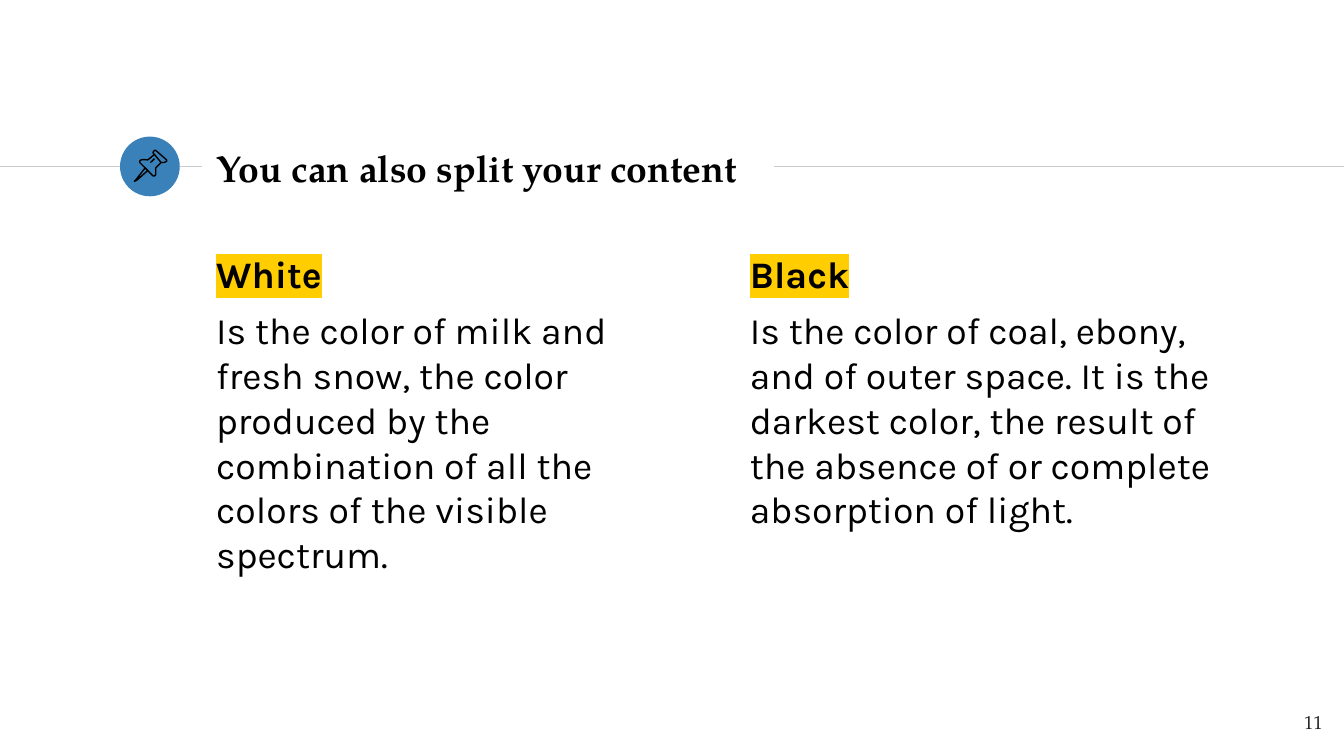
from lxml.etree import SubElement
from pptx import Presentation
from pptx.dml.color import RGBColor
from pptx.enum.shapes import MSO_CONNECTOR, MSO_SHAPE
from pptx.enum.text import MSO_ANCHOR, MSO_AUTO_SIZE, PP_ALIGN
from pptx.oxml import parse_xml
from pptx.oxml.ns import nsdecls, qn
from pptx.util import Pt

SERIF = "TeX Gyre Pagella"
SANS = "Karla"
BLACK = "000000"
RULE_Y = 89.3

COLUMNS = [
    (108.7, "White", "Is the color of milk and fresh snow, the color produced by the "
                     "combination of all the colors of the visible spectrum."),
    (394.6, "Black", "Is the color of coal, ebony, and of outer space. It is the darkest "
                     "color, the result of the absence of or complete absorption of light."),
]

PIN_NEEDLE = [(77.8, 90), (72.7, 96.5), (72, 97.2), (73.4, 96.5), (79.2, 91.4)]
PIN_HEAD = [(82.8, 82.8), (86.4, 87.1), (87.8, 87.1), (88.6, 86.8), (89.3, 86.4),
            (89.3, 85.7), (83.5, 80.6), (82.8, 80.6), (82.1, 81.4), (82.1, 82.1)]
PIN_BODY = [(82.8, 82.8), (79.2, 85.7), (77, 85.5), (75.6, 85.7), (74.9, 86.4),
            (74.9, 87.1), (82.1, 94.3), (82.8, 94.3), (83.5, 93.6), (83.5, 90),
            (86.4, 87.1)]


def color(hex_string):
    return RGBColor.from_string(hex_string)


def write_text(paragraph, text, font=SANS, size=20, fill=BLACK, bold=False,
               highlight=None, align=PP_ALIGN.LEFT, space_before=0):
    paragraph.alignment = align
    paragraph.space_before = Pt(space_before)
    run = paragraph.add_run()
    run.text = text
    run.font.size = Pt(size)
    run.font.bold = bold
    run.font.color.rgb = color(fill)
    if highlight:
        solid_fill = run.font.fill._xPr.find(qn("a:solidFill"))
        solid_fill.addnext(parse_xml(
            f'<a:highlight {nsdecls("a")}><a:srgbClr val="{highlight}"/></a:highlight>'))
    run.font.name = font


def set_frame(shape, anchor=MSO_ANCHOR.TOP):
    frame = shape.text_frame
    frame.word_wrap = True
    frame.auto_size = MSO_AUTO_SIZE.NONE
    frame.vertical_anchor = anchor
    frame.margin_left = frame.margin_right = Pt(7.2)
    frame.margin_top = frame.margin_bottom = Pt(7.2)
    return frame


def add_text_box(slide, left, top, width, height):
    return set_frame(slide.shapes.add_textbox(Pt(left), Pt(top), Pt(width), Pt(height)))


def add_line(slide, start, end, stroke):
    line = slide.shapes.add_connector(
        MSO_CONNECTOR.STRAIGHT, *(Pt(value) for value in (*start, *end)))
    line.line.color.rgb = color(stroke)
    line.line.width = Pt(0.75)
    SubElement(line._element.spPr, qn("a:effectLst"))


def add_outline(slide, points, close):
    start, *rest = [(Pt(x), Pt(y)) for x, y in points]
    builder = slide.shapes.build_freeform(*start)
    builder.add_line_segments(rest, close=close)
    shape = builder.convert_to_shape()
    shape.shadow.inherit = False
    shape.fill.background()
    shape.line.color.rgb = color(BLACK)
    shape.line.width = Pt(0.75)


def add_title(slide, text):
    title = slide.shapes.title
    title.left, title.top, title.width, title.height = Pt(108.7), Pt(72.7), Pt(305.3), Pt(34.6)
    frame = set_frame(title, MSO_ANCHOR.MIDDLE)
    write_text(frame.paragraphs[0], text, font=SERIF, bold=True)


def add_pin_badge(slide):
    circle = slide.shapes.add_shape(MSO_SHAPE.OVAL, Pt(64.3), Pt(73.2), Pt(32), Pt(32))
    circle.shadow.inherit = False
    circle.fill.solid()
    circle.fill.fore_color.rgb = color("3A81BA")
    circle.line.fill.background()
    add_outline(slide, PIN_NEEDLE, close=True)
    add_outline(slide, PIN_HEAD, close=True)
    add_outline(slide, PIN_BODY, close=False)
    add_line(slide, (80.6, 87.1), (82.8, 85), BLACK)


def add_column(slide, left, heading, body):
    frame = add_text_box(slide, left, 127.4, 270, 254.2)
    write_text(frame.paragraphs[0], heading, bold=True, highlight="FFCD00")
    write_text(frame.add_paragraph(), body, space_before=6)


def main():
    presentation = Presentation()
    presentation.slide_width, presentation.slide_height = Pt(720), Pt(405)
    slide = presentation.slides.add_slide(presentation.slide_layouts[5])

    for start_x, end_x in [(0, 108), (414.7, 720)]:
        add_line(slide, (start_x, RULE_Y), (end_x, RULE_Y), "CCCCCC")
    add_pin_badge(slide)
    add_title(slide, "You can also split your content")
    for left, heading, body in COLUMNS:
        add_column(slide, left, heading, body)

    number_frame = add_text_box(slide, 672.5, 373.7, 43.2, 31)
    write_text(number_frame.paragraphs[0], "11", font=SERIF, size=10,
               fill="1D1D1B", align=PP_ALIGN.RIGHT)

    presentation.save("out.pptx")


if __name__ == "__main__":
    main()
